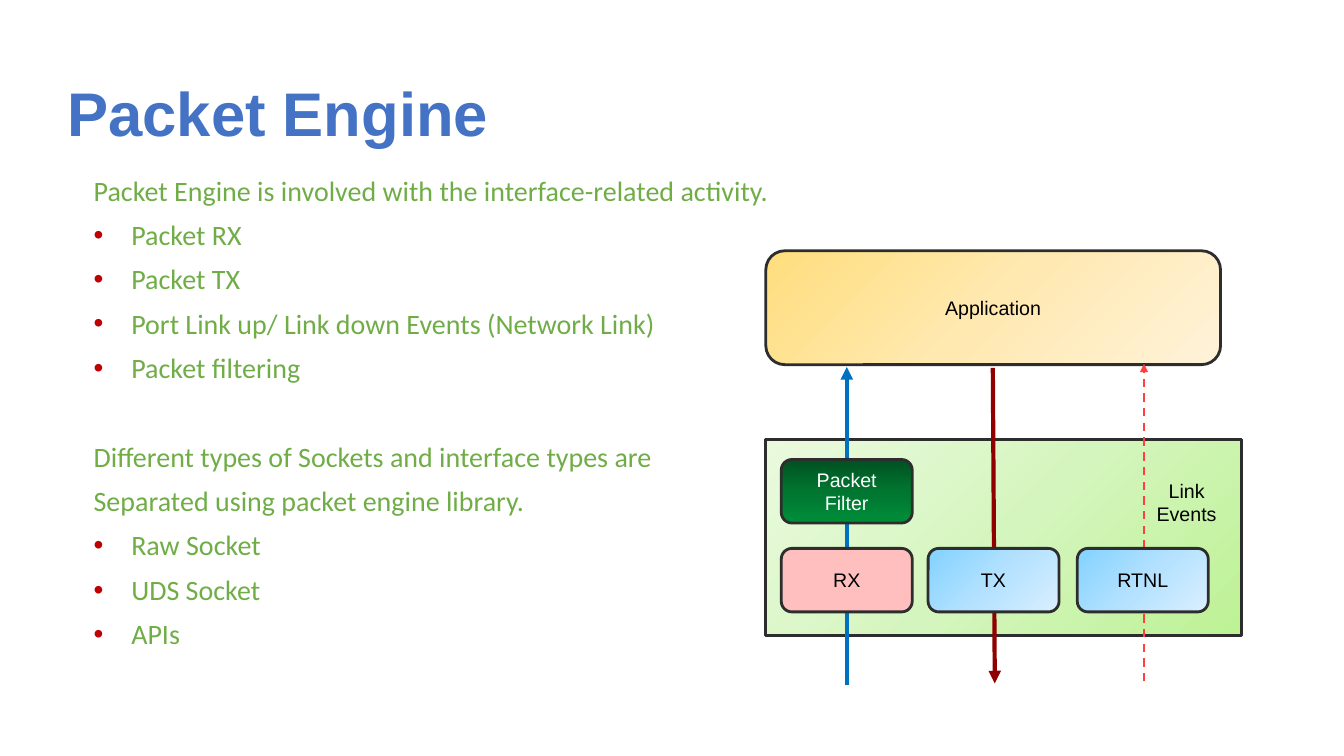
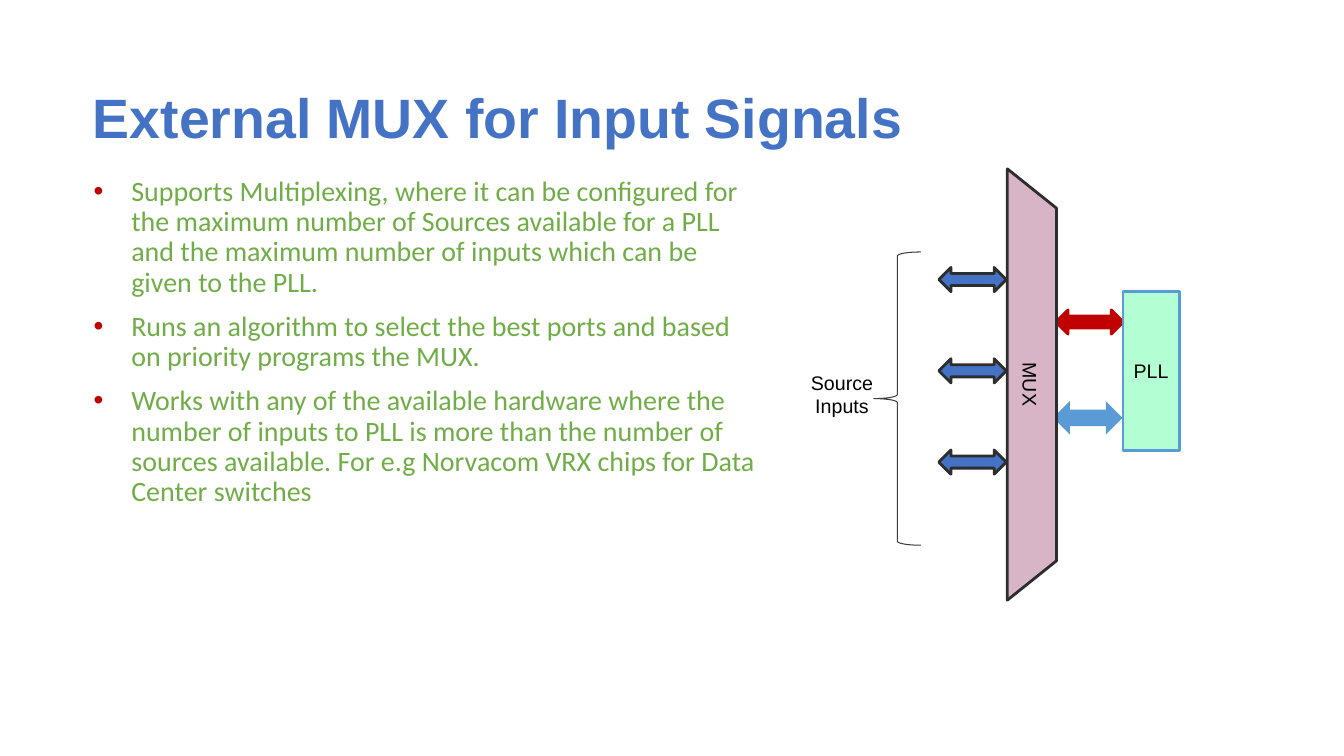
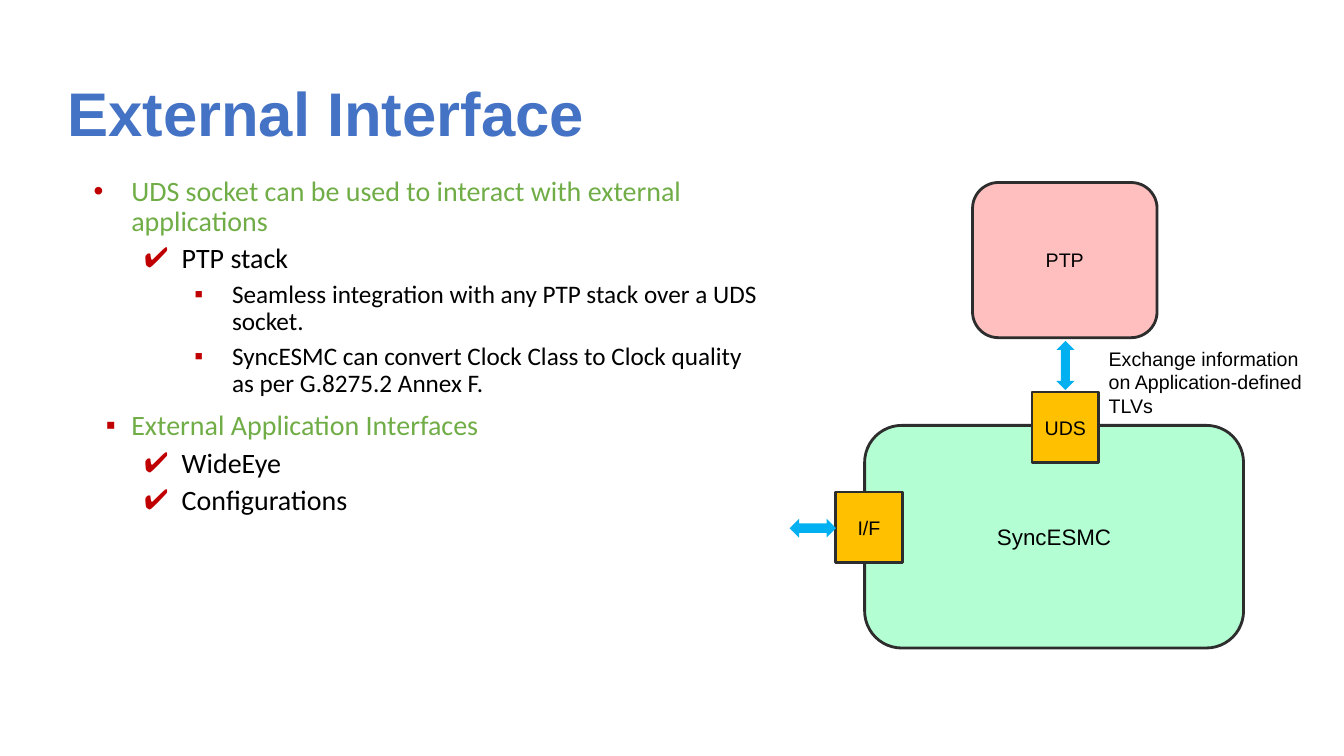
from copy import deepcopy
from dataclasses import dataclass

from lxml.etree import SubElement
from pptx import Presentation
from pptx.dml.color import RGBColor
from pptx.enum.dml import MSO_LINE
from pptx.enum.shapes import MSO_CONNECTOR, MSO_SHAPE
from pptx.enum.text import MSO_ANCHOR, PP_ALIGN
from pptx.oxml.ns import qn
from pptx.util import Cm, Pt

BLUE, GREEN, RED, BLACK, WHITE = "4472C4", "70AD47", "C00000", "000000", "FFFFFF"
OUTLINE, PINK, MINT, AMBER, CYAN = "2D2D2D", "FFBFBF", "B3FFD3", "FFC000", "00B0F0"
SKY = (("81D2FF", "B3E1FF", "DAEFFF"), 315)
SAND = (("FFDE7E", "FFE9B1", "FFF2D9"), 315)
LIME = (("BDF295", "D5F5BE", "EAFADE"), 135)
FOREST = (("005121", "007630", "008D39"), 270)


@dataclass
class Level:
    bullet: str
    left: float
    indent: float
    size: float
    color: str
    before: float


LEVELS = {
    "plain": Level("", 0.64, 0, 20, GREEN, 10),
    "section": Level("", 0.64, 0, 20, GREEN, 42),
    "dot": Level("•", 1.59, -0.95, 20, GREEN, 10),
    "square": Level("▪", 1.59, -0.64, 20, GREEN, 10),
    "check": Level("✔", 2.86, -0.95, 20, BLACK, 5),
    "detail": Level("▪", 4.13, -0.95, 18, BLACK, 5),
}


def rgb(color):
    return RGBColor.from_string(color)


class Deck:
    def __init__(self):
        self.presentation = Presentation()
        self.presentation.slide_width = Cm(33.87)
        self.presentation.slide_height = Cm(19.05)
        self.page = None

    def add_page(self, title, size=44, indent=0):
        layout = self.presentation.slide_layouts[6]
        self.page = self.presentation.slides.add_slide(layout)
        frame = self.frame(1.45, 0.58, 23.14, 3.2)
        frame.vertical_anchor = MSO_ANCHOR.BOTTOM
        frame.margin_bottom = 0
        para = frame.paragraphs[0]
        para.line_spacing = 0.9
        self.indent(para, indent, 0)
        self.span(para, title, size, BLUE, "Arial", True)

    def frame(self, left, top, width, height):
        box = self.page.shapes.add_textbox(Cm(left), Cm(top), Cm(width), Cm(height))
        box.text_frame.word_wrap = True
        return box.text_frame

    def span(self, para, text, size, color, font="Arial", bold=False):
        run = para.add_run()
        run.text = text
        run.font.name = font
        run.font.size = Pt(size)
        run.font.bold = bold
        run.font.color.rgb = rgb(color)

    def indent(self, para, left, first):
        properties = para._p.get_or_add_pPr()
        properties.set("marL", str(Cm(left)))
        properties.set("indent", str(Cm(first)))
        return properties

    def body(self, items, width=17.88):
        frame = self.frame(1.47, 4.34, width, 12.57)
        for index, (name, text) in enumerate(items):
            level = LEVELS[name]
            para = frame.add_paragraph() if index else frame.paragraphs[0]
            properties = self.indent(para, level.left, level.indent)
            if level.bullet:
                color = SubElement(properties, qn("a:buClr"))
                SubElement(color, qn("a:srgbClr"), val=RED)
                SubElement(properties, qn("a:buFont"), typeface="Arial")
                SubElement(properties, qn("a:buChar"), char=level.bullet)
            para.line_spacing = 0.9
            if index:
                para.space_before = Pt(level.before)
            self.span(para, text, level.size, level.color, "Calibri")

    def label(self, lines, left, top, width, height, align=PP_ALIGN.CENTER):
        frame = self.frame(left, top, width, height)
        for index, text in enumerate(lines):
            para = frame.add_paragraph() if index else frame.paragraphs[0]
            para.alignment = align
            self.span(para, text, 14, BLACK)

    def shape(self, kind, left, top, width, height, fill=None, line=OUTLINE,
              text="", size=14, color=BLACK, weight=2):
        shape = self.page.shapes.add_shape(kind, Cm(left), Cm(top), Cm(width), Cm(height))
        shape.shadow.inherit = False
        if fill is None:
            shape.fill.background()
        elif isinstance(fill, str):
            shape.fill.solid()
            shape.fill.fore_color.rgb = rgb(fill)
        else:
            self.gradient(shape, *fill)
        if line:
            shape.line.color.rgb = rgb(line)
            shape.line.width = Pt(weight)
        else:
            shape.line.fill.background()
        if text:
            frame = shape.text_frame
            frame.word_wrap = True
            frame.vertical_anchor = MSO_ANCHOR.MIDDLE
            frame.paragraphs[0].alignment = PP_ALIGN.CENTER
            self.span(frame.paragraphs[0], text, size, color)
        return shape

    def gradient(self, shape, colors, angle):
        shape.fill.gradient()
        shape.fill.gradient_angle = angle
        stops = shape._element.spPr.find(".//" + qn("a:gsLst"))
        stops.append(deepcopy(stops[0]))
        for index, (stop, color) in enumerate(zip(shape.fill.gradient_stops, colors)):
            stop.color.rgb = rgb(color)
            stop.position = index / 2

    def arrow(self, start, end, color, weight=3, dash=None):
        x1, y1, x2, y2 = (Cm(value) for value in start + end)
        arrow = self.page.shapes.add_connector(MSO_CONNECTOR.STRAIGHT, x1, y1, x2, y2)
        arrow.line.color.rgb = rgb(color)
        arrow.line.width = Pt(weight)
        if dash:
            arrow.line.dash_style = dash
        SubElement(arrow.line._get_or_add_ln(), qn("a:tailEnd"), type="triangle")
        SubElement(arrow._element.spPr, qn("a:effectLst"))


def packet_engine(deck):
    deck.add_page("Packet Engine")
    deck.body([
        ("plain", "Packet Engine is involved with the interface-related activity."),
        ("dot", "Packet RX"),
        ("dot", "Packet TX"),
        ("dot", "Port Link up/ Link down Events (Network Link)"),
        ("dot", "Packet filtering"),
        ("section", "Different types of Sockets and interface types are"),
        ("plain", "Separated using packet engine library."),
        ("dot", "Raw Socket"),
        ("dot", "UDS Socket"),
        ("dot", "APIs"),
    ], 23.44)
    rounded = MSO_SHAPE.ROUNDED_RECTANGLE
    deck.shape(MSO_SHAPE.RECTANGLE, 19.3, 11.07, 11.99, 4.95, LIME)
    deck.shape(rounded, 19.3, 6.32, 11.46, 2.87, SAND, text="Application")
    deck.arrow((21.34, 17.27), (21.34, 9.25), "0070C0")
    deck.arrow((25.02, 9.27), (25.07, 17.22), "900000")
    deck.arrow((28.83, 17.17), (28.83, 9.17), "FF3F40", 1.5, MSO_LINE.DASH)
    for text, left, top, fill, color in (
        ("Packet Filter", 19.69, 11.58, FOREST, WHITE),
        ("RX", 19.69, 13.82, PINK, BLACK),
        ("TX", 23.39, 13.82, SKY, BLACK),
        ("RTNL", 27.15, 13.82, SKY, BLACK),
    ):
        deck.shape(rounded, left, top, 3.3, 1.6, fill, text=text, color=color)
    deck.label(["Link", "Events"], 27.58, 11.94, 4.65, 1.45)


def external_mux(deck):
    deck.add_page("External MUX for Input Signals", 39.6, 0.64)
    deck.body([
        ("dot", "Supports Multiplexing, where it can be configured for the maximum number "
                "of Sources available for a PLL and the maximum number of inputs which can "
                "be given to the PLL."),
        ("dot", "Runs an algorithm to select the best ports and based on priority programs "
                "the MUX."),
        ("dot", "Works with any of the available hardware where the number of inputs to PLL "
                "is more than the number of sources available. For e.g Norvacom VRX chips "
                "for Data Center switches"),
    ])
    double = MSO_SHAPE.LEFT_RIGHT_ARROW
    for row in range(3):
        deck.shape(double, 23.66, 6.74 + 2.3 * row, 1.7, 0.61, BLUE)
    deck.shape(double, 26.61, 7.81, 1.7, 0.61, RED, RED)
    deck.shape(double, 26.54, 10.11, 1.75, 0.84, "5B9BD5", None)
    deck.shape(MSO_SHAPE.RECTANGLE, 28.3, 7.34, 1.42, 4.01, MINT, "5B9BD5", "PLL")
    mux = deck.shape(MSO_SHAPE.TRAPEZOID, 20.57, 9.07, 10.87, 1.24, "D7B4C6", text="MUX")
    mux.adjustments[0] = 0.8
    mux.rotation = 90
    deck.shape(MSO_SHAPE.LEFT_BRACE, 22.02, 6.35, 1.19, 7.39, line="3D3D3D", weight=0.75)
    deck.label(["Source", "Inputs"], 19.81, 9.22, 2.82, 2.06)


def external_interface(deck):
    deck.add_page("External Interface")
    deck.body([
        ("dot", "UDS socket can be used to interact with external applications"),
        ("check", "PTP stack"),
        ("detail", "Seamless integration with any PTP stack over a UDS socket."),
        ("detail", "SyncESMC can convert Clock Class to Clock quality as per G.8275.2 Annex F."),
        ("square", "External Application Interfaces"),
        ("check", "WideEye"),
        ("check", "Configurations"),
    ])
    rounded = MSO_SHAPE.ROUNDED_RECTANGLE
    deck.shape(rounded, 21.79, 10.72, 9.55, 5.61, MINT, text="SyncESMC", size=16)
    deck.shape(rounded, 24.51, 4.6, 4.65, 3.91, PINK, text="PTP")
    for text, left, top in (("UDS", 26.01, 9.88), ("I/F", 21.06, 12.4)):
        deck.shape(MSO_SHAPE.RECTANGLE, left, top, 1.68, 1.78, AMBER, text=text)
    deck.shape(MSO_SHAPE.UP_DOWN_ARROW, 26.62, 8.59, 0.46, 1.24, CYAN, None)
    deck.shape(MSO_SHAPE.LEFT_RIGHT_ARROW, 19.9, 13.07, 1.17, 0.48, CYAN, None)
    deck.label(["Exchange information on Application-defined TLVs"],
               27.69, 8.61, 5.51, 2.06, PP_ALIGN.LEFT)


def main():
    deck = Deck()
    packet_engine(deck)
    external_mux(deck)
    external_interface(deck)
    deck.presentation.save("out.pptx")


if __name__ == "__main__":
    main()
